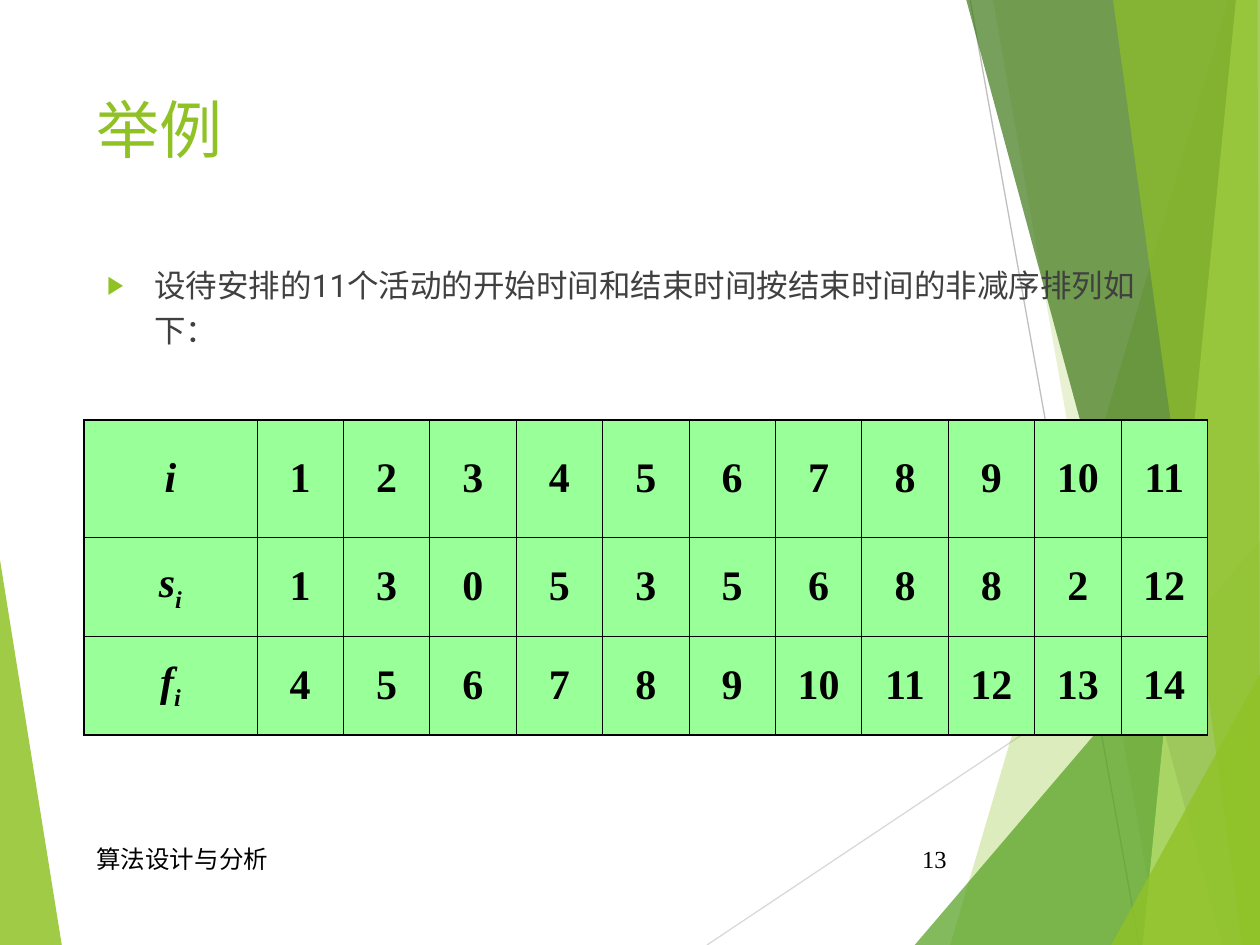
from lxml.etree import SubElement
from pptx import Presentation
from pptx.dml.color import RGBColor
from pptx.enum.shapes import MSO_CONNECTOR
from pptx.enum.text import MSO_ANCHOR, MSO_AUTO_SIZE, PP_ALIGN
from pptx.oxml.ns import qn
from pptx.util import Pt

WIDTH, HEIGHT = 720, 540
LIME, BLACK = "90C226", "000000"


def color(value):
    return RGBColor.from_string(value)


class SlideBuilder:
    heading_font = "Roboto"
    serif_font = "Times New Roman"
    cell_fill = "99FF99"
    outer_border, inner_border = 1.08, 0.45

    def __init__(self, slide):
        self.slide = slide
        self.shapes = slide.shapes

    def facet(self, points, fill, opacity):
        corners = [(Pt(x), Pt(y)) for x, y in points]
        outline = self.shapes.build_freeform(*corners[0], scale=1.0)
        outline.add_line_segments(corners[1:], close=True)
        facet = outline.convert_to_shape()
        facet.shadow.inherit = False
        facet.fill.solid()
        facet.fill.fore_color.rgb = color(fill)
        facet.line.fill.background()
        tint = facet.element.spPr.find(qn("a:solidFill"))[0]
        SubElement(tint, qn("a:alpha"), val=str(opacity * 1000))

    def line(self, start, end, stroke):
        ends = [Pt(value) for value in (*start, *end)]
        line = self.shapes.add_connector(MSO_CONNECTOR.STRAIGHT, *ends)
        line.line.color.rgb = color(stroke)
        line.line.width = Pt(0.75)
        SubElement(line.element.spPr, qn("a:effectLst"))

    def style(self, paragraph, font, size, fill, align=PP_ALIGN.LEFT):
        paragraph.alignment = align
        paragraph.font.name = font
        paragraph.font.size = Pt(size)
        paragraph.font.color.rgb = color(fill)

    def fill_placeholder(self, index, text, box):
        holder = self.slide.placeholders[index]
        holder.left, holder.top, holder.width, holder.height = map(Pt, box)
        self.shapes.element.append(holder.element)
        frame = holder.text_frame
        frame.text = text
        frame.auto_size = MSO_AUTO_SIZE.NONE
        frame.vertical_anchor = MSO_ANCHOR.TOP
        return frame.paragraphs[0]

    def title(self, text, box):
        heading = self.fill_placeholder(0, text, box)
        self.style(heading, self.heading_font, 36, LIME)

    def bullet(self, text, box):
        item = self.fill_placeholder(1, text, box)
        item.line_spacing = 1.2
        item.space_before = Pt(0)
        props = item._p.get_or_add_pPr()
        props.set("marL", str(Pt(27)))
        props.set("indent", str(-Pt(27)))
        SubElement(SubElement(props, qn("a:buClr")), qn("a:srgbClr"), val=LIME)
        SubElement(props, qn("a:buSzPct"), val="80000")
        SubElement(props, qn("a:buChar"), char="▶")
        self.style(item, self.heading_font, 18, "404040")

    def footer(self, text, box, align=PP_ALIGN.LEFT):
        frame = self.shapes.add_textbox(*map(Pt, box)).text_frame
        frame.word_wrap = True
        frame.vertical_anchor = MSO_ANCHOR.MIDDLE
        frame.text = text
        self.style(frame.paragraphs[0], self.serif_font, 14, BLACK, align)

    def borders(self, cell, outer_sides):
        props = cell._tc.get_or_add_tcPr()
        for position, side in enumerate(("lnL", "lnR", "lnT", "lnB")):
            width = self.outer_border if side in outer_sides else self.inner_border
            border = props.makeelement(qn(f"a:{side}"), {"w": str(Pt(width))})
            props.insert(position, border)
            fill = SubElement(border, qn("a:solidFill"))
            SubElement(fill, qn("a:srgbClr"), val=BLACK)

    def cell(self, cell, text, subscript="", italic=False):
        cell.fill.solid()
        cell.fill.fore_color.rgb = color(self.cell_fill)
        cell.vertical_anchor = MSO_ANCHOR.MIDDLE
        entry = cell.text_frame.paragraphs[0]
        self.style(entry, self.serif_font, 24, BLACK, PP_ALIGN.CENTER)
        entry.font.bold = True
        entry.font.italic = italic
        entry.add_run().text = text
        if subscript:
            index = entry.add_run()
            index.text = subscript
            index._r.get_or_add_rPr().set("baseline", "-25000")

    def table(self, rows, left, top, widths, heights):
        box = (left, top, sum(widths), sum(heights))
        table = self.shapes.add_table(len(heights), len(widths), *map(Pt, box)).table
        table.first_row = table.horz_banding = False
        for column, width in zip(table.columns, widths):
            column.width = Pt(width)
        for row, height in zip(table.rows, heights):
            row.height = Pt(height)
        last_row, last_column = len(heights) - 1, len(widths) - 1
        for r, ((symbol, subscript), values) in enumerate(rows):
            self.cell(table.cell(r, 0), symbol, subscript, italic=True)
            for c, value in enumerate(values, start=1):
                self.cell(table.cell(r, c), str(value))
            for c in range(len(widths)):
                edges = {"lnL": c == 0, "lnR": c == last_column,
                         "lnT": r == 0, "lnB": r == last_row}
                outer_sides = [side for side, outer in edges.items() if outer]
                self.borders(table.cell(r, c), outer_sides)


def band(top_x, bottom_x, right=WIDTH):
    return [(top_x, 0), (bottom_x, HEIGHT), (WIDTH, HEIGHT), (right, 0)]


def corner(left, top):
    return [(left, HEIGHT), (WIDTH, top), (WIDTH, HEIGHT)]


def main():
    deck = Presentation()
    deck.slide_width, deck.slide_height = Pt(WIDTH), Pt(HEIGHT)
    builder = SlideBuilder(deck.slides.add_slide(deck.slide_layouts[1]))

    builder.facet([(0, 320), (35.3, HEIGHT), (0, HEIGHT)], LIME, 85)
    builder.line((404, HEIGHT), (WIDTH, 329), "D9D9D9")
    builder.line((554.4, 0), (651, HEIGHT), "BFBFBF")
    facets = [
        (band(702, 543), LIME, 30),
        (band(567.4, 662.4), LIME, 20),
        (corner(522.7, 309), "54A021", 72),
        (band(552.2, 698.4), "3F7819", 70),
        (band(706.3, 653), "C0E474", 70),
        (band(636, 710, 718.6), LIME, 65),
        (corner(635, 385.2), LIME, 80),
    ]
    for points, fill, opacity in facets:
        builder.facet(points, fill, opacity)

    builder.title("举例", (48, 48, 500, 104))
    builder.bullet("设待安排的11个活动的开始时间和结束时间按结束时间的非减序排列如下：",
                   (54, 144, 612, 90))
    builder.footer("算法设计与分析", (48, 476, 364, 29))
    builder.footer("13", (507.6, 476, 40.4, 29), PP_ALIGN.RIGHT)

    activities = [
        (("i", ""), range(1, 12)),
        (("s", "i"), [1, 3, 0, 5, 3, 5, 6, 8, 8, 2, 12]),
        (("f", "i"), range(4, 15)),
    ]
    builder.table(activities, 48, 240, [98.8] + [49.4] * 11, [67, 56.5, 56.5])
    deck.save("out.pptx")


if __name__ == "__main__":
    main()
